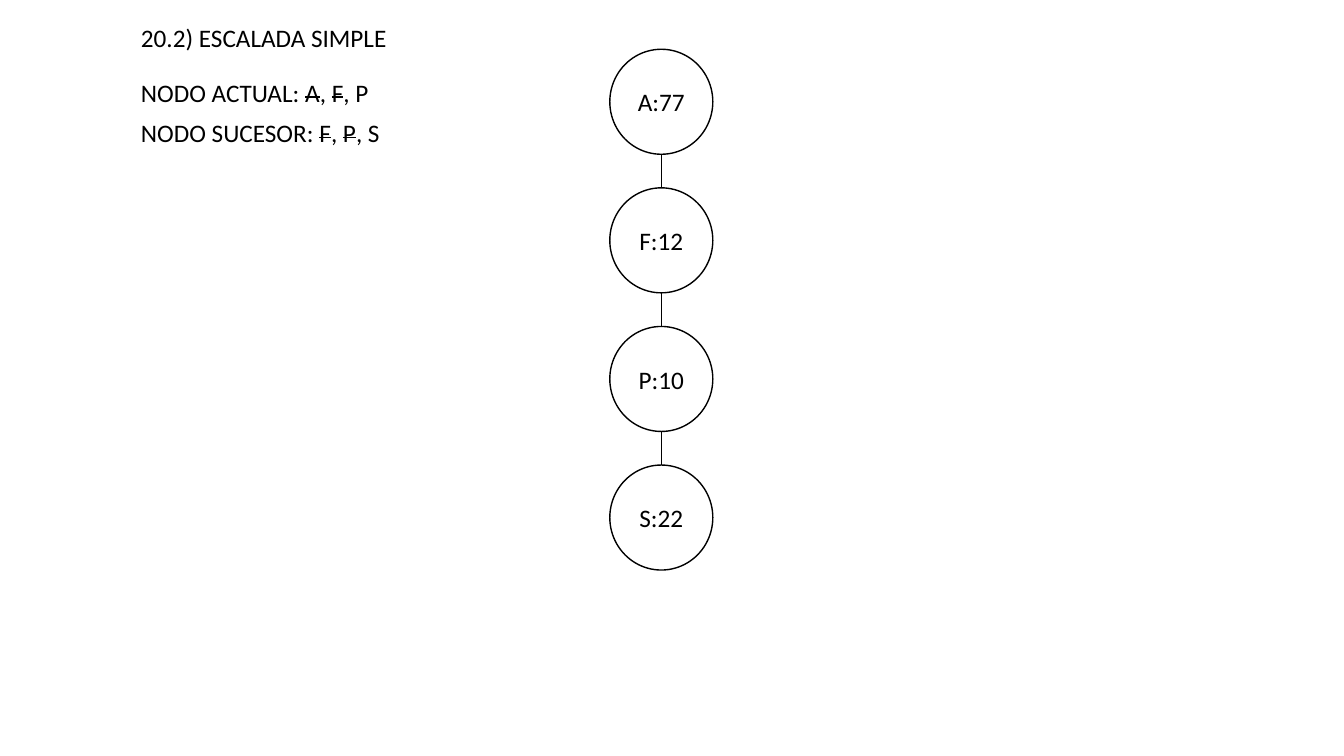
from pptx import Presentation
from pptx.dml.color import RGBColor
from pptx.enum.shapes import MSO_CONNECTOR, MSO_SHAPE
from pptx.enum.text import MSO_ANCHOR, MSO_AUTO_SIZE, PP_ALIGN
from pptx.oxml.ns import qn
from pptx.util import Pt
from lxml.etree import SubElement

COLORS = {"ink": "000000", "paper": "FFFFFF"}
NODES = ["A:77", "F:12", "P:10", "S:22"]
NODE_LEFT, NODE_TOP, NODE_WIDTH, NODE_HEIGHT = 435.6, 35.2, 73.6, 75
NODE_PITCH = 99
LABEL_LEFT, LABEL_HEIGHT = 93.6, 29.1


def color(name):
    return RGBColor.from_string(COLORS[name])


def add_span(para, text, font="Calibri", size=18, ink="ink", strike=False):
    span = para.add_run()
    span.text = text
    span.font.name = font
    span.font.size = Pt(size)
    span.font.color.rgb = color(ink)
    if strike:
        span.font._element.set("strike", "sngStrike")


class SearchPage:
    def __init__(self, page, outline=1, link=0.5):
        self.page = page
        self.outline = outline
        self.link = link

    def add_node(self, text, left, top, width, height):
        node = self.page.shapes.add_shape(
            MSO_SHAPE.OVAL, Pt(left), Pt(top), Pt(width), Pt(height))
        node.shadow.inherit = False
        node.fill.solid()
        node.fill.fore_color.rgb = color("paper")
        node.line.color.rgb = color("ink")
        node.line.width = Pt(self.outline)
        frame = node.text_frame
        frame.vertical_anchor = MSO_ANCHOR.MIDDLE
        para = frame.paragraphs[0]
        para.alignment = PP_ALIGN.CENTER
        add_span(para, text)
        return node

    def add_link(self, upper, lower):
        center = upper.left + upper.width // 2
        line = self.page.shapes.add_connector(
            MSO_CONNECTOR.STRAIGHT, center, upper.top + upper.height,
            center, lower.top)
        line.line.color.rgb = color("ink")
        line.line.width = Pt(self.link)
        SubElement(line._element.spPr, qn("a:effectLst"))

    def add_label(self, spans, top, width, wrap=False):
        box = self.page.shapes.add_textbox(
            Pt(LABEL_LEFT), Pt(top), Pt(width), Pt(LABEL_HEIGHT))
        frame = box.text_frame
        frame.word_wrap = wrap
        frame.auto_size = MSO_AUTO_SIZE.SHAPE_TO_FIT_TEXT
        for index, text in enumerate(spans):
            add_span(frame.paragraphs[0], text, strike=index % 2 == 1)


def main():
    deck = Presentation()
    deck.slide_width, deck.slide_height = Pt(960), Pt(540)
    search = SearchPage(deck.slides.add_slide(deck.slide_layouts[6]))

    search.add_label(["20.2) ESCALADA SIMPLE"], 12.2, 212.4, wrap=True)
    search.add_label(["NODO ACTUAL: ", "A", ", ", "F", ", P"], 51.8, 177.1)
    search.add_label(["NODO SUCESOR: ", "F", ", ", "P", ", S"], 80.6, 186.5)

    nodes = [
        search.add_node(text, NODE_LEFT, NODE_TOP + index * NODE_PITCH,
                        NODE_WIDTH, NODE_HEIGHT)
        for index, text in enumerate(NODES)
    ]
    for upper, lower in zip(nodes, nodes[1:]):
        search.add_link(upper, lower)

    deck.save("out.pptx")


if __name__ == "__main__":
    main()
